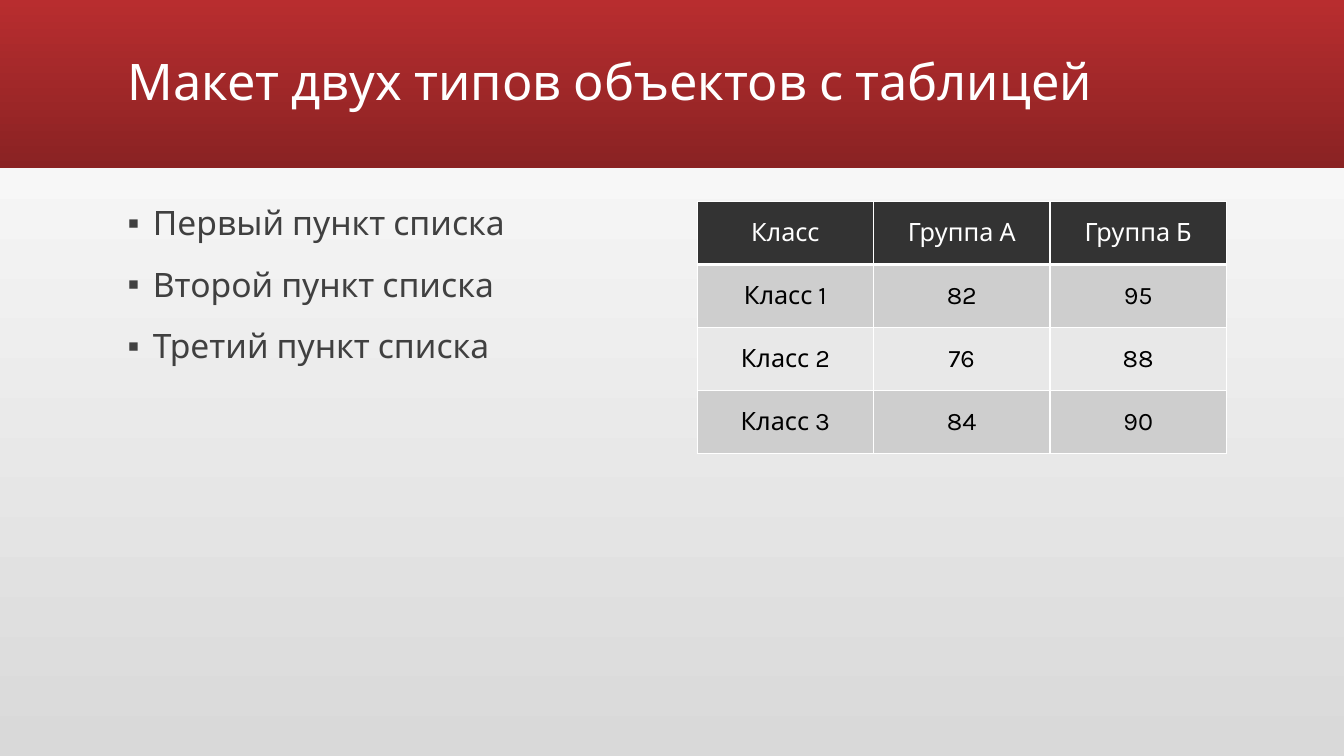
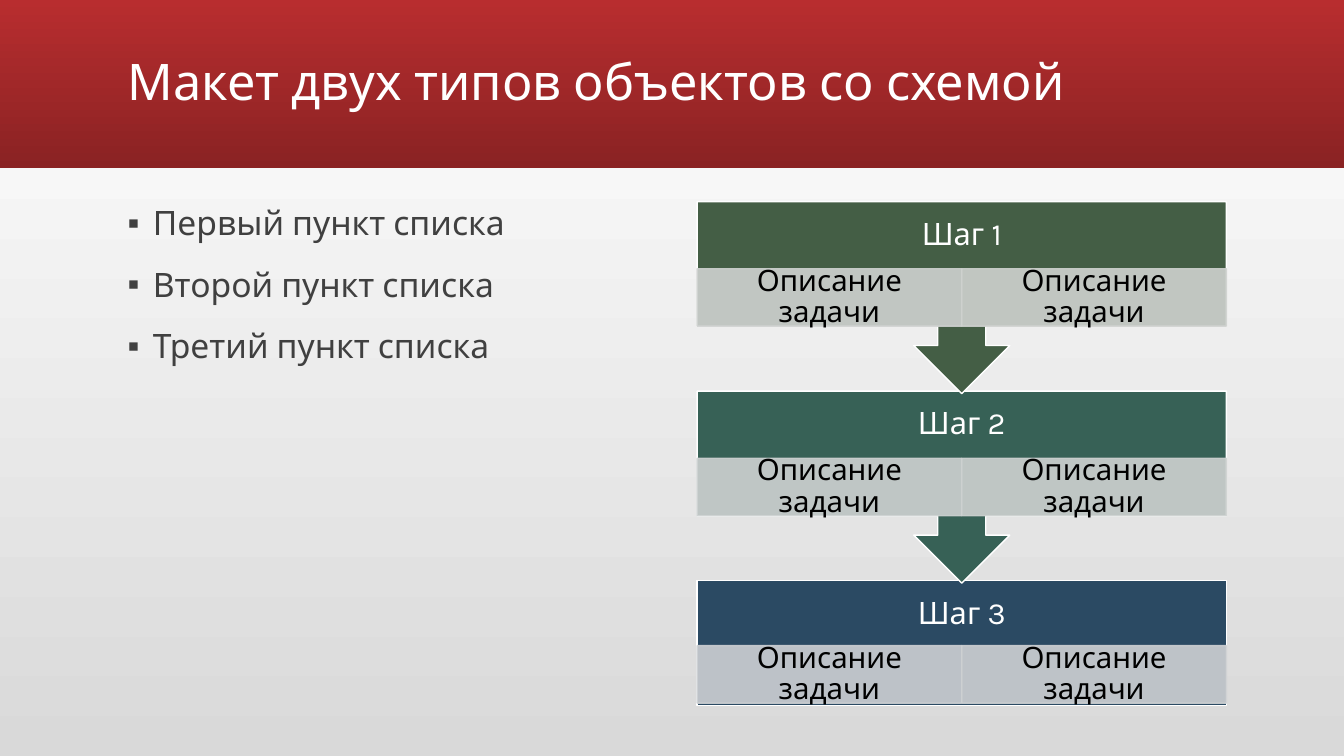
"""Two slides that pair a bullet list with a table and with a step diagram."""
from collections import namedtuple

from lxml import etree
from pptx import Presentation
from pptx import util as u
from pptx.dml import color
from pptx.enum import shapes, text
from pptx.oxml import ns

Box = namedtuple("Box", "left top width height")

COLUMNS, ROWS = 160, 90
UNIT = u.Inches(7.5) / ROWS
FONT = "Karla"
WHITE, BLACK, GRAY = "FFFFFF", "000000", "404040"
BACKGROUND = ("D9D9D9", WHITE)
BAND = ("B82D2F", "8A2223")
TABLE_HEADER, TABLE_ROWS = "333333", ("CECECE", "E8E8E8")

BAND_BOX = Box(0, 0, COLUMNS, 20)
TITLE_BOX = Box(14, 1.3, 132, 17.4)
LEFT_BOX = Box(14, 24, 63, 60)
RIGHT_BOX = Box(83, 24, 63, 60)

BULLETS = ["Первый пункт списка", "Второй пункт списка", "Третий пункт списка"]
SCORES = [
    ["Класс", "Группа А", "Группа Б"],
    ["Класс 1", "82", "95"],
    ["Класс 2", "76", "88"],
    ["Класс 3", "84", "90"],
]
TASK = "Описание задачи"
STEPS = [
    ("Шаг 1", "445E45", ("CFD2D0", "CFD2CF")),
    ("Шаг 2", "376156", ("CED2D2", "CED2D1")),
    ("Шаг 3", "2B4A63", ("CDD0D3", "CED1D3")),
]


def rgb(value):
    """Turn a hex string into a colour."""
    return color.RGBColor.from_string(value)


def emu(box):
    """Turn a box in grid units into lengths on the slide."""
    return [round(length * UNIT) for length in box]


def place(shape, box):
    """Move and size a shape to a box."""
    shape.left, shape.top, shape.width, shape.height = emu(box)


def solid(fill, value):
    """Give a fill one colour."""
    fill.solid()
    fill.fore_color.rgb = rgb(value)


def gradient(fill, values, angle):
    """Give a fill a linear gradient between two colours."""
    fill.gradient()
    fill.gradient_angle = angle
    for stop, value, position in zip(fill.gradient_stops, values, (0, 1)):
        stop.color.rgb = rgb(value)
        stop.position = position


def add_bullet(paragraph, character, indent):
    """Give a paragraph a hanging bullet."""
    properties = paragraph._p.get_or_add_pPr()
    properties.set("marL", str(u.Inches(indent)))
    properties.set("indent", str(-u.Inches(indent)))
    etree.SubElement(properties, ns.qn("a:buFont"), typeface="Arial")
    etree.SubElement(properties, ns.qn("a:buChar"), char=character)


def write(frame, lines, size=18, ink=BLACK, align=text.PP_ALIGN.CENTER,
          anchor=text.MSO_ANCHOR.MIDDLE, spacing=0.9, before=0, bullet=None,
          insets=(0.1, 0.05)):
    """Write lines as formatted paragraphs into a text frame."""
    frame.word_wrap = True
    frame.auto_size = text.MSO_AUTO_SIZE.NONE
    frame.vertical_anchor = anchor
    frame.margin_left = frame.margin_right = u.Inches(insets[0])
    frame.margin_top = frame.margin_bottom = u.Inches(insets[1])
    for index, line in enumerate(lines):
        paragraph = frame.add_paragraph() if index else frame.paragraphs[0]
        paragraph.alignment = align
        paragraph.line_spacing = spacing
        paragraph.space_before = u.Pt(before)
        if bullet:
            add_bullet(paragraph, bullet, 0.25)
        run = paragraph.add_run()
        run.text = line
        run.font.name = FONT
        run.font.size = u.Pt(size)
        run.font.bold = False
        run.font.color.rgb = rgb(ink)


def add_block(slide, kind, box, fill, line, opacity=100):
    """Add a filled and outlined preset shape."""
    shape = slide.shapes.add_shape(kind, *emu(box))
    shape.shadow.inherit = False
    solid(shape.fill, fill)
    solid(shape.line.fill, line)
    shape.line.width = u.Pt(1)
    if opacity < 100:
        for tint in shape.element.spPr.iter(ns.qn("a:srgbClr")):
            etree.SubElement(tint, ns.qn("a:alpha"), val=str(opacity * 1000))
    return shape


def add_band(slide, box):
    """Add the title band behind everything else."""
    band = slide.shapes.add_shape(shapes.MSO_SHAPE.RECTANGLE, *emu(box))
    band.shadow.inherit = False
    band.line.fill.background()
    gradient(band.fill, BAND, 270)
    band.element.getparent().insert(2, band.element)


def add_list_slide(presentation, title):
    """Add a slide with the band, a title and the list on the left."""
    slide = presentation.slides.add_slide(presentation.slide_layouts[1])
    add_band(slide, BAND_BOX)
    heading, body = slide.placeholders
    place(heading, TITLE_BOX)
    write(heading.text_frame, [title], size=36, ink=WHITE, align=text.PP_ALIGN.LEFT)
    place(body, LEFT_BOX)
    write(body.text_frame, BULLETS, size=24, ink=GRAY, align=text.PP_ALIGN.LEFT,
          anchor=text.MSO_ANCHOR.TOP, before=18, bullet="▪")
    return slide


def add_borders(cell, top, bottom):
    """Draw white borders around a table cell."""
    properties = cell._tc.get_or_add_tcPr()
    for side, width in (("L", 1), ("R", 1), ("T", top), ("B", bottom)):
        line = etree.SubElement(properties, ns.qn(f"a:ln{side}"), w=str(u.Pt(width)))
        fill = etree.SubElement(line, ns.qn("a:solidFill"))
        etree.SubElement(fill, ns.qn("a:srgbClr"), val=WHITE)


def add_score_table(slide, box):
    """Add the table of scores, with a dark header and banded rows."""
    table = slide.shapes.add_table(len(SCORES), len(SCORES[0]), *emu(box)).table
    for row, values in enumerate(SCORES):
        header = row == 0
        for column, value in enumerate(values):
            cell = table.cell(row, column)
            add_borders(cell, 3 if row == 1 else 1, 3 if header else 1)
            solid(cell.fill, TABLE_HEADER if header else TABLE_ROWS[(row - 1) % 2])
            write(cell.text_frame, [value], ink=WHITE if header else BLACK, spacing=1)
            cell.vertical_anchor = text.MSO_ANCHOR.MIDDLE


def add_step(slide, box, step, kind, task_top):
    """Add one step: a block, its label and a row of tasks."""
    label, fill, tints = step
    add_block(slide, kind, box, fill, WHITE)
    caption = slide.shapes.add_textbox(*emu(box._replace(height=8)))
    write(caption.text_frame, [label], size=22, ink=WHITE, insets=(0.17, 0.17))
    width = box.width / len(tints)
    for index, tint in enumerate(tints):
        task_box = Box(box.left + index * width, box.top + task_top, width, 6.84)
        task = add_block(slide, shapes.MSO_SHAPE.RECTANGLE, task_box, tint, tint, 90)
        write(task.text_frame, [TASK], size=21, insets=(0.16, 0.03))


def add_step_diagram(slide, box):
    """Stack the steps from last to first so that each arrow overlaps the next."""
    last = len(STEPS) - 1
    last_height = 14.86
    pitch = (box.height - last_height) / last
    for index in range(last, -1, -1):
        is_last = index == last
        kind = shapes.MSO_SHAPE.RECTANGLE if is_last else shapes.MSO_SHAPE.DOWN_ARROW_CALLOUT
        height = last_height if is_last else pitch + 0.28
        step_box = Box(box.left, box.top + index * pitch, box.width, height)
        add_step(slide, step_box, STEPS[index], kind, height * (0.52 if is_last else 0.35))


def main():
    """Build and save the presentation."""
    presentation = Presentation()
    presentation.slide_width = round(COLUMNS * UNIT)
    presentation.slide_height = round(ROWS * UNIT)
    gradient(presentation.slide_master.background.fill, BACKGROUND, 90)
    table_slide = add_list_slide(presentation, "Макет двух типов объектов с таблицей")
    add_score_table(table_slide, RIGHT_BOX._replace(height=30))
    step_slide = add_list_slide(presentation, "Макет двух типов объектов со схемой")
    add_step_diagram(step_slide, RIGHT_BOX)
    presentation.save("out.pptx")


main()
